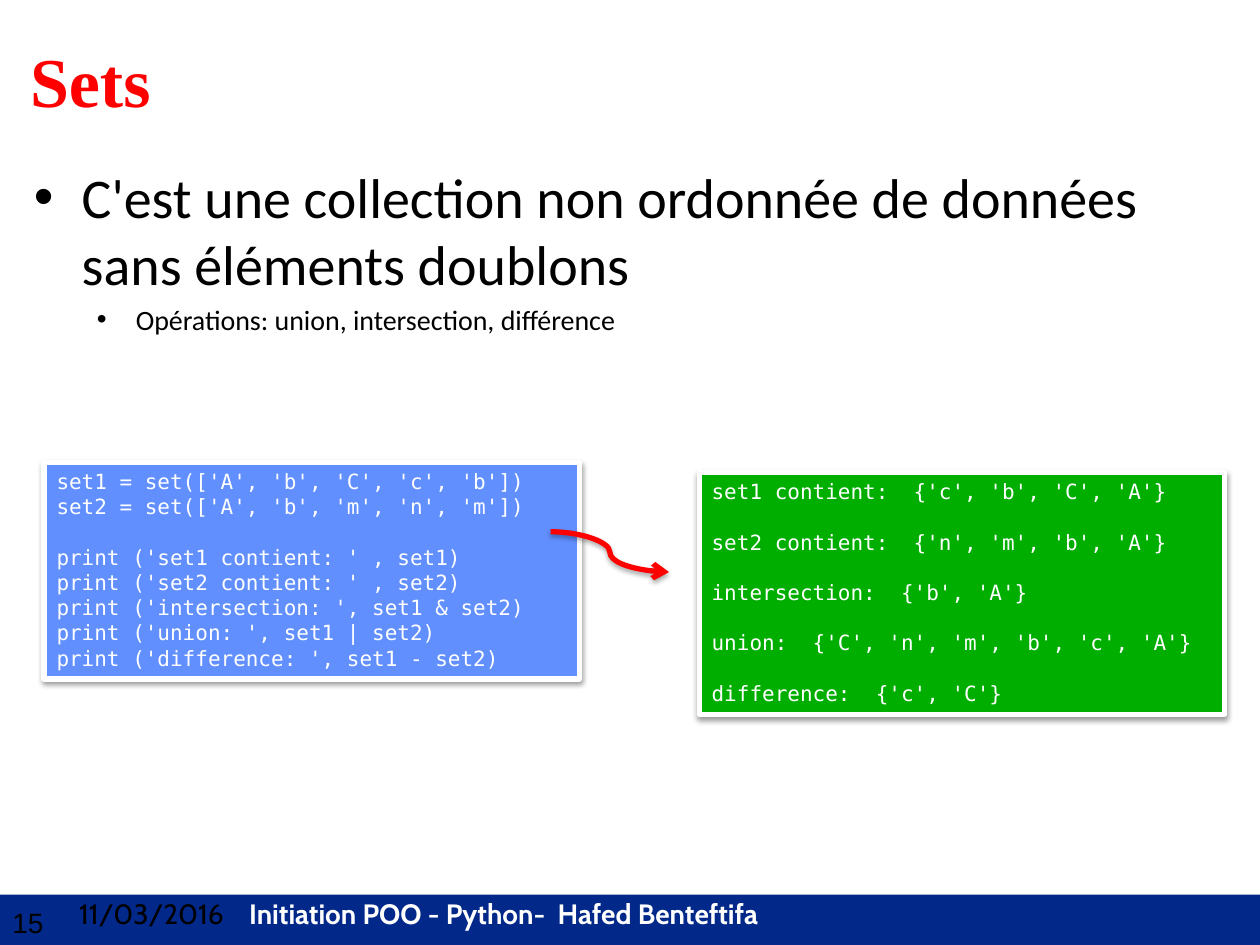
import pptx
import pptx.util
import pptx.dml.color
import pptx.enum.shapes
import pptx.enum.text
import pptx.oxml
from lxml import etree

Inches, Pt = pptx.util.Inches, pptx.util.Pt
NS = 'xmlns:a="http://schemas.openxmlformats.org/drawingml/2006/main"'


def rgb(value):
    return pptx.dml.color.RGBColor.from_string(value)


def add_shadow(shape, opacity, distance):
    """Give a shape a soft black shadow straight below it."""
    shape._element.spPr.append(pptx.oxml.parse_xml(
        f'<a:effectLst {NS}><a:outerShdw blurRad="{Pt(3.1)}" dist="{Pt(distance)}" '
        f'dir="5400000" rotWithShape="0"><a:srgbClr val="000000">'
        f'<a:alpha val="{opacity * 1000}"/></a:srgbClr></a:outerShdw></a:effectLst>'))


presentation = pptx.Presentation()
presentation.slide_width, presentation.slide_height = Inches(10), Inches(7.5)
slide = presentation.slides.add_slide(presentation.slide_layouts[6])
shapes = slide.shapes
RECTANGLE = pptx.enum.shapes.MSO_SHAPE.RECTANGLE

# Footer band
band = shapes.add_shape(RECTANGLE, Inches(0), Inches(7.1), Inches(10), Inches(0.4))
band.shadow.inherit = False
band.fill.solid()
band.fill.fore_color.rgb = rgb("02298A")
band.line.fill.background()

# Page number
page_number = shapes.add_textbox(Inches(0), Inches(7.14), Inches(0.58), Inches(0.36)).text_frame
page_number.word_wrap = True
number_line = page_number.paragraphs[0]
number_line.text = "15"
number_line.font.size = Pt(16)
number_line.font.name = "Arial"
number_line.font.color.rgb = rgb("000000")

# Date and course name, parted by a tab stop
footer = shapes.add_textbox(Inches(0.53), Inches(7.07), Inches(9.47), Inches(0.43)).text_frame
footer.word_wrap = True
footer_line = footer.paragraphs[0]
footer_line.font.size = Pt(16)
footer_line.font.name = "Cabin"
footer_line._p.get_or_add_pPr().insert(0, pptx.oxml.parse_xml(
    f'<a:tabLst {NS}><a:tab pos="{Inches(1.35)}" algn="l"/></a:tabLst>'))
for words, color, bold in [("11/03/2016\t", "000000", False),
                           ("Initiation POO - Python-  Hafed Benteftifa", "FFFFFF", True)]:
    run = footer_line.add_run()
    run.text = words
    run.font.bold = bold
    run.font.color.rgb = rgb(color)

# Title
title = shapes.add_textbox(Inches(0.14), Inches(0.17), Inches(9.68), Inches(0.93)).text_frame
title.word_wrap = True
title.vertical_anchor = pptx.enum.text.MSO_ANCHOR.MIDDLE
heading = title.paragraphs[0]
heading.text = "Sets"
heading.font.size = Pt(40)
heading.font.name = "Times New Roman"
heading.font.bold = True
heading.font.color.rgb = rgb("FF0000")

# Bulleted definition
definition = shapes.add_textbox(Inches(0.17), Inches(1.24), Inches(9.67), Inches(5.46)).text_frame
definition.word_wrap = True
bullets = [
    ("C'est une collection non ordonnée de données sans éléments doublons", 32, 0.38, 0.38),
    ("Opérations: union, intersection, différence", 16, 0.81, 0.31),
]
for level, (words, size, margin, hanging) in enumerate(bullets):
    point = definition.add_paragraph() if level else definition.paragraphs[0]
    point.text = words
    point.level = level
    point.space_before = Pt(size * 0.2)
    point.font.size = Pt(size)
    point.font.name = "Calibri"
    point.font.color.rgb = rgb("000000")
    properties = point._p.get_or_add_pPr()
    properties.set("marL", str(Inches(margin)))
    properties.set("indent", str(-Inches(hanging)))
    bullet_font = pptx.oxml.parse_xml(f'<a:buFont {NS} typeface="Arial"/>')
    bullet = pptx.oxml.parse_xml(f'<a:buChar {NS} char="•"/>')
    properties.insert_element_before(bullet_font, "a:buChar", "a:tabLst", "a:defRPr")
    properties.insert_element_before(bullet, "a:tabLst", "a:defRPr")

# Output and code panels: box, fill, lines, indexes of lines after a gap
output_lines = [
    "set1 contient:  {'c', 'b', 'C', 'A'}",
    "set2 contient:  {'n', 'm', 'b', 'A'}",
    "intersection:  {'b', 'A'}",
    "union:  {'C', 'n', 'm', 'b', 'c', 'A'}",
    "difference:  {'c', 'C'}",
]
code_lines = [
    "set1 = set(['A', 'b', 'C', 'c', 'b'])",
    "set2 = set(['A', 'b', 'm', 'n', 'm'])",
    "print ('set1 contient: ' , set1)",
    "print ('set2 contient: ' , set2)",
    "print ('intersection: ', set1 & set2)",
    "print ('union: ', set1 | set2)",
    "print ('difference: ', set1 - set2)",
]
panels = [
    ((5.55, 3.75, 4.17, 1.92), "00AE00", output_lines, {1, 2, 3, 4}),
    ((0.35, 3.67, 4.25, 1.72), "618FFD", code_lines, {2}),
]
for box, color, lines, gaps in panels:
    panel = shapes.add_shape(RECTANGLE, *map(Inches, box))
    panel.fill.solid()
    panel.fill.fore_color.rgb = rgb(color)
    panel.line.color.rgb = rgb("FFFFFF")
    panel.line.width = Pt(3)
    add_shadow(panel, 38, 1.6)
    frame = panel.text_frame
    frame.word_wrap = True
    frame.vertical_anchor = pptx.enum.text.MSO_ANCHOR.TOP
    for index, words in enumerate(lines):
        line = frame.add_paragraph() if index else frame.paragraphs[0]
        line.text = words
        line.alignment = pptx.enum.text.PP_ALIGN.LEFT
        line.space_before = Pt(14.4 if index in gaps else 0)
        line.font.size = Pt(12)
        line.font.name = "DejaVu Sans Mono"
        line.font.color.rgb = rgb("FFFFFF")

# Arrow from the code to its output
arrow = shapes.add_connector(pptx.enum.shapes.MSO_CONNECTOR.CURVE,
                             Inches(4.37), Inches(4.22), Inches(5.31), Inches(4.54))
arrow.line.color.rgb = rgb("FF0000")
arrow.line.width = Pt(3)
etree.SubElement(arrow.line._get_or_add_ln(),
                 "{http://schemas.openxmlformats.org/drawingml/2006/main}tailEnd", type="arrow")
add_shadow(arrow, 35, 1.8)

presentation.save("out.pptx")
